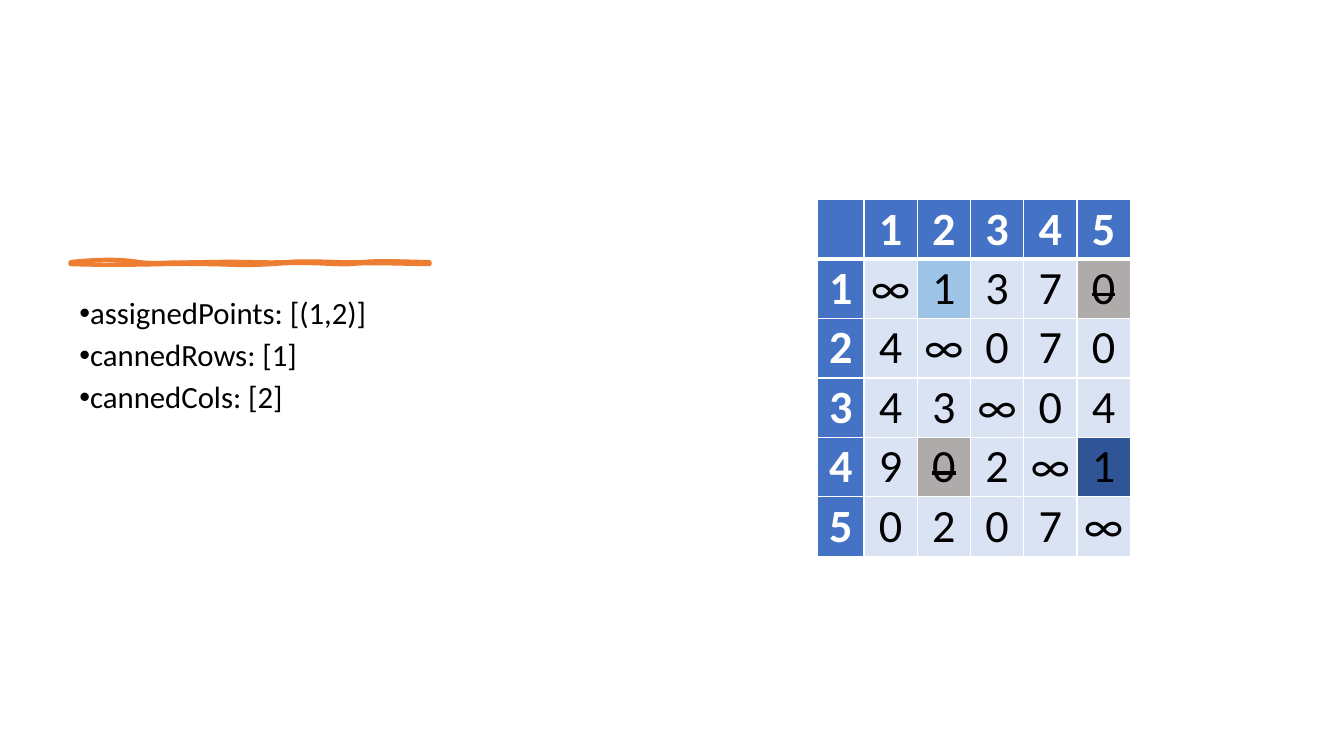
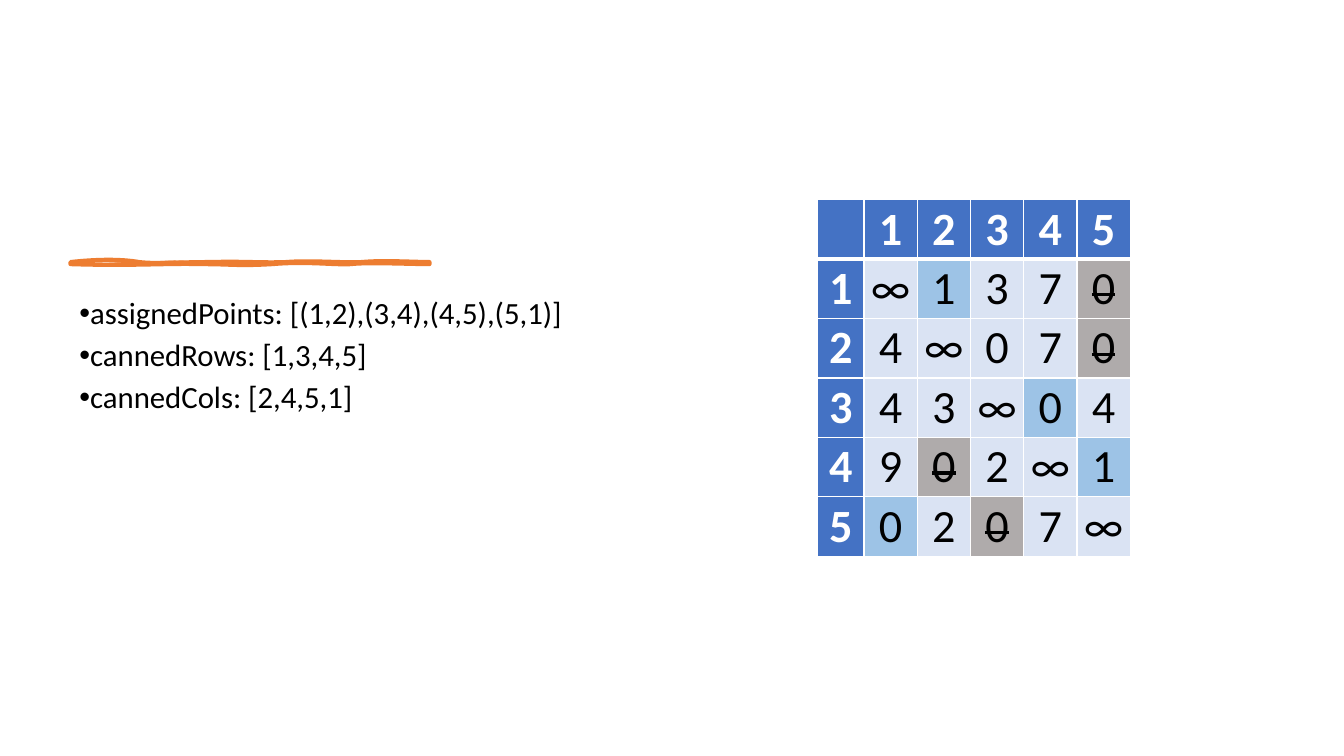
from itertools import product

from pptx import Presentation
from pptx.dml.color import RGBColor as Rgb
from pptx.enum.text import MSO_ANCHOR as Anchor, PP_ALIGN as Align
from pptx.oxml.ns import qn
from pptx.util import Inches, Pt
from lxml.etree import SubElement

COLORS = {
    "accent": "ED7D31",
    "header": "4472C4",
    "plain": "DAE3F3",
    "assigned": "9DC3E6",
    "struck": "AFABAB",
    "chosen": "2F5597",
    "white": "FFFFFF",
    "black": "000000",
}

BRUSH_EDGE = [
    (0.7, 2.6),
    (0.97, 2.57), (1.21, 2.57), (1.38, 2.6),
    (1.55, 2.62), (1.77, 2.6), (2.09, 2.6),
    (2.41, 2.59), (2.6, 2.61), (2.84, 2.6),
    (3.08, 2.58), (3.39, 2.61), (3.59, 2.6),
    (3.79, 2.58), (4.12, 2.6), (4.26, 2.6),
    (4.26, 2.6), (4.26, 2.61), (4.26, 2.62),
    (4.08, 2.62), (3.64, 2.6), (3.48, 2.62),
    (3.32, 2.63), (3.04, 2.59), (2.7, 2.62),
    (2.35, 2.64), (2.31, 2.62), (1.99, 2.62),
    (1.66, 2.61), (1.32, 2.64), (0.7, 2.62),
    (0.7, 2.61), (0.7, 2.6), (0.7, 2.6),
]
BRUSH_BODY = [
    (0.7, 2.6),
    (1.02, 2.62), (1.1, 2.6), (1.38, 2.6),
    (1.66, 2.59), (1.69, 2.57), (1.99, 2.6),
    (2.28, 2.62), (2.61, 2.61), (2.77, 2.6),
    (2.93, 2.58), (3.27, 2.62), (3.44, 2.6),
    (3.62, 2.57), (3.97, 2.63), (4.26, 2.6),
    (4.26, 2.6), (4.26, 2.61), (4.26, 2.62),
    (4.12, 2.61), (3.72, 2.64), (3.55, 2.62),
    (3.38, 2.59), (3.09, 2.62), (2.77, 2.62),
    (2.44, 2.61), (2.4, 2.6), (2.16, 2.62),
    (1.93, 2.63), (1.79, 2.61), (1.45, 2.62),
    (1.11, 2.62), (0.92, 2.61), (0.7, 2.62),
    (0.7, 2.61), (0.7, 2.6), (0.7, 2.6),
]

COST_ROWS = ["∞1370", "4∞070", "43∞04", "902∞1", "0207∞"]

STEPS = [
    {
        "notes": ["assignedPoints: [(1,2)]", "cannedRows: [1]", "cannedCols: [2]"],
        "marks": {"assigned": [(1, 2)], "struck": [(1, 5), (4, 2)], "chosen": [(4, 5)]},
    },
    {
        "notes": [
            "assignedPoints: [(1,2),(3,4),(4,5),(5,1)]",
            "cannedRows: [1,3,4,5]",
            "cannedCols: [2,4,5,1]",
        ],
        "marks": {
            "assigned": [(1, 2), (3, 4), (4, 5), (5, 1)],
            "struck": [(1, 5), (2, 5), (4, 2), (5, 3)],
        },
    },
]


def color(name):
    return Rgb.from_string(COLORS[name])


def apply(target, values):
    for name, value in values.items():
        setattr(target, name, value)


class SlideBuilder:
    note_font = {"name": "Calibri", "size": Pt(22)}
    cell_font = {"name": "Calibri", "size": Pt(33)}
    note_spacing = {"line_spacing": 0.9, "space_after": Pt(6)}
    cell_format = {
        "margin_left": 0, "margin_right": 0, "margin_top": 0, "margin_bottom": 0,
        "vertical_anchor": Anchor.MIDDLE,
    }

    def __init__(self, deck):
        self.deck = deck
        self.page = None

    def new_page(self):
        self.page = self.deck.slides.add_slide(self.deck.slide_layouts[6])

    def curve(self, outlines, shape, knots, options):
        size = {"w": str(shape.width), "h": str(shape.height)}
        outline = SubElement(outlines, qn("a:path"), **size, **options)

        def command(tag, points):
            step = SubElement(outline, qn(tag))
            for x, y in points:
                SubElement(step, qn("a:pt"), x=str(Inches(x) - shape.left),
                           y=str(Inches(y) - shape.top))

        command("a:moveTo", knots[:1])
        for i in range(1, len(knots), 3):
            command("a:cubicBezTo", knots[i:i + 3])
        command("a:close", [])

    def brush_rule(self):
        left, top, right, bottom = (Inches(n) for n in (0.7, 2.6, 4.26, 2.62))
        builder = self.page.shapes.build_freeform(left, top)
        builder.add_line_segments([(right, top), (right, bottom), (left, bottom)])
        rule = builder.convert_to_shape()
        rule.shadow.inherit = False
        rule.fill.solid()
        rule.fill.fore_color.rgb = color("accent")
        rule.line.color.rgb = color("accent")
        rule.line.width = Pt(3)
        outlines = rule._element.spPr.find(".//" + qn("a:pathLst"))
        outlines.remove(outlines[0])
        self.curve(outlines, rule, BRUSH_EDGE, {"fill": "none"})
        self.curve(outlines, rule, BRUSH_BODY, {"stroke": "0"})

    def notes(self, lines):
        box = self.page.shapes.add_textbox(
            Inches(0.69), Inches(2.91), Inches(5.27), Inches(3.88))
        frame = box.text_frame
        frame.word_wrap = True
        for i, line in enumerate(lines):
            para = frame.add_paragraph() if i else frame.paragraphs[0]
            props = para._p.get_or_add_pPr()
            props.set("marL", "0")
            props.set("indent", str(-Inches(0.25)))
            SubElement(props, qn("a:buFont"), typeface="Arial")
            SubElement(props, qn("a:buChar"), char="•")
            apply(para, self.note_spacing)
            span = para.add_run()
            span.text = line
            apply(span.font, self.note_font)
            span.font.color.rgb = color("black")

    def borders(self, cell, widths):
        props = cell._tc.get_or_add_tcPr()
        for side, width in widths.items():
            line = SubElement(props, qn("a:ln" + side), w=str(Pt(width)))
            fill = SubElement(line, qn("a:solidFill"))
            SubElement(fill, qn("a:srgbClr"), val=COLORS["white"])

    def cell(self, cell, text, fill, is_header, widths):
        apply(cell, self.cell_format)
        self.borders(cell, widths)
        cell.fill.solid()
        cell.fill.fore_color.rgb = color(fill)
        para = cell.text_frame.paragraphs[0]
        para.alignment = Align.CENTER
        if text:
            span = para.add_run()
            span.text = text
            apply(span.font, {**self.cell_font, "bold": is_header})
            span.font.color.rgb = color("white" if is_header else "black")
            if fill == "struck":
                span._r.get_or_add_rPr().set("strike", "sngStrike")

    def cost_table(self, marks):
        fills = {spot: name for name, spots in marks.items() for spot in spots}
        labels = [str(n) for n in range(1, len(COST_ROWS) + 1)]
        grid = [["", *labels]] + [[n, *row] for n, row in zip(labels, COST_ROWS)]
        count = len(grid)
        width, label_width = Inches(3.1), Inches(0.46)
        table = self.page.shapes.add_table(
            count, count, Inches(8.11), Inches(1.98), width, Inches(3.54)).table
        apply(table, {"first_row": False, "horz_banding": False})
        for i in range(count):
            table.columns[i].width = (width - label_width) // len(labels) if i else label_width
            table.rows[i].height = Inches(0.59)
        for row, col in product(range(count), repeat=2):
            is_header = row == 0 or col == 0
            fill = "header" if is_header else fills.get((row, col), "plain")
            widths = {"L": 1, "R": 1, "T": 3 if row == 1 else 1, "B": 1 if row else 3}
            self.cell(table.cell(row, col), grid[row][col], fill, is_header, widths)


def main():
    deck = Presentation()
    apply(deck, {"slide_width": Inches(13.33), "slide_height": Inches(7.5)})
    builder = SlideBuilder(deck)
    for step in STEPS:
        builder.new_page()
        builder.brush_rule()
        builder.notes(step["notes"])
        builder.cost_table(step["marks"])
    deck.save("out.pptx")


if __name__ == "__main__":
    main()
